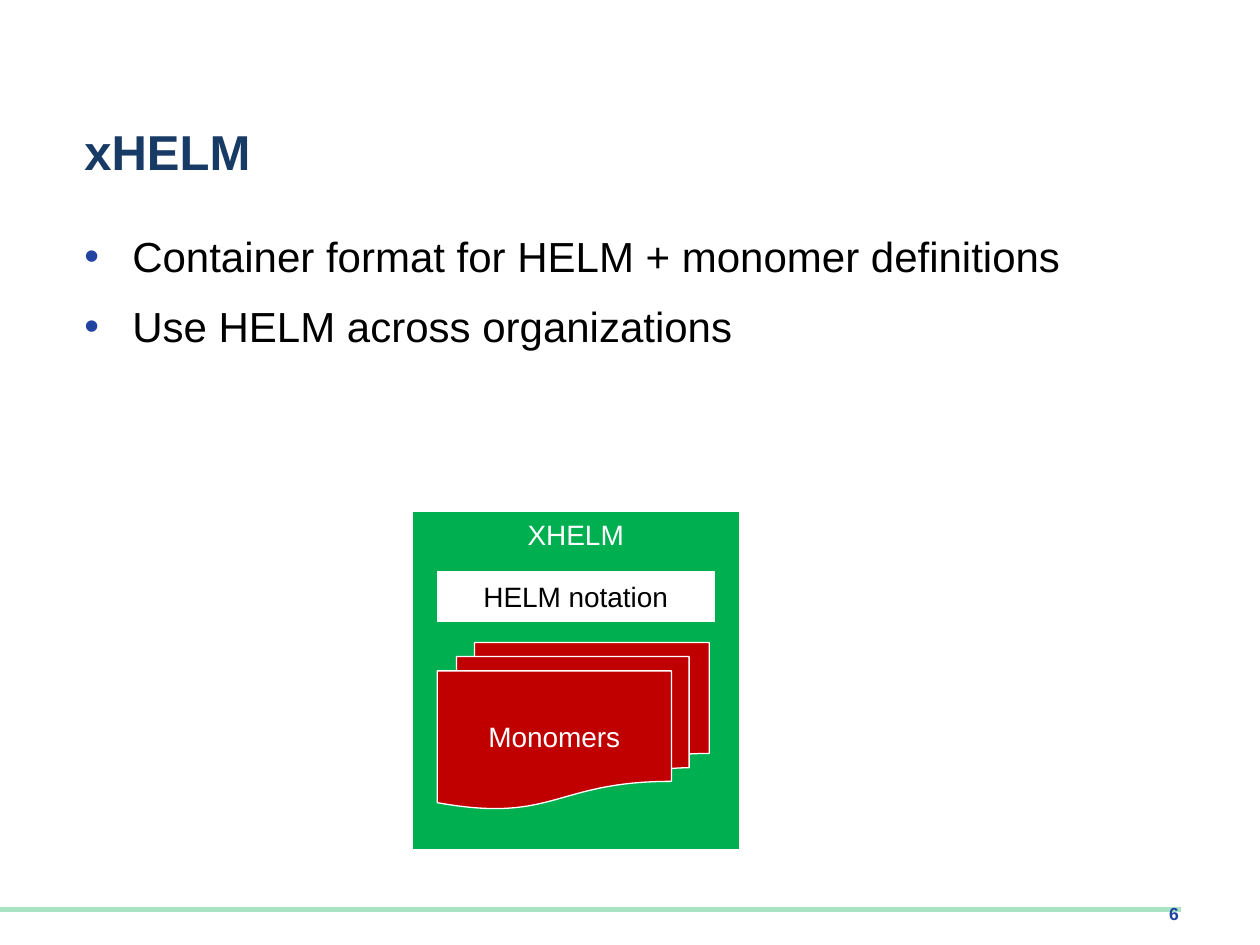
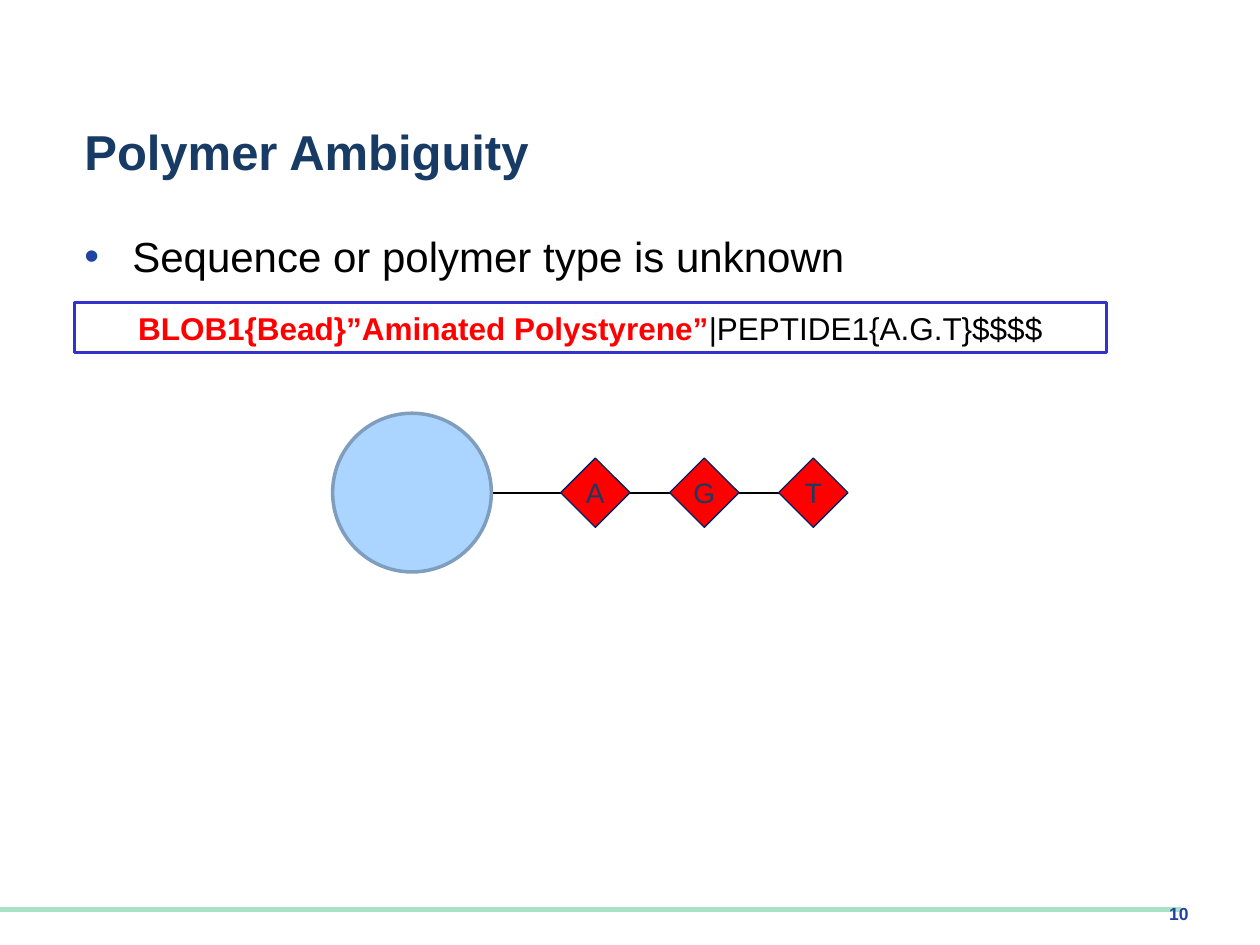
import pptx
import pptx.util
import pptx.dml.color
import pptx.enum.shapes
import pptx.enum.text
import lxml.etree
from pptx.oxml.ns import qn

Inches = pptx.util.Inches
Pt = pptx.util.Pt
Kind = pptx.enum.shapes.MSO_SHAPE
Align = pptx.enum.text.PP_ALIGN
Anchor = pptx.enum.text.MSO_ANCHOR

# Shared look
FONT = "Arial"
NAVY, BLUE, MINT = "173B64", "2143A1", "A9E3C6"
WHITE, BLACK, RED = "FFFFFF", "000000", "FF0000"


def rgb(code):
    return pptx.dml.color.RGBColor.from_string(code)


def write(shape, text, size=16, color=BLACK, bold=False, align=Align.LEFT,
          anchor=Anchor.TOP, wrap=True, inset=None, mark=None):
    """Write text as one paragraph per line; mark is the bullet colour."""
    frame = shape.text_frame
    frame.auto_size = pptx.enum.text.MSO_AUTO_SIZE.NONE
    frame.word_wrap = wrap
    frame.vertical_anchor = anchor
    if inset is not None:
        frame.margin_left = frame.margin_right = frame.margin_bottom = 0
        frame.margin_top = Inches(inset)
    frame.text = text
    for i, para in enumerate(frame.paragraphs):
        para.alignment = align
        para.space_before = Pt(0)
        if mark:
            para.line_spacing = 1.1
            para.space_before = Pt(8.5 if i else 0)
            props = para._p.get_or_add_pPr()
            props.set("marL", str(Inches(0.38)))
            props.set("indent", str(-Inches(0.38)))
            tint = lxml.etree.SubElement(props, qn("a:buClr"))
            lxml.etree.SubElement(tint, qn("a:srgbClr"), val=mark)
            lxml.etree.SubElement(props, qn("a:buFont"), typeface=FONT)
            lxml.etree.SubElement(props, qn("a:buChar"), char="•")
        for run in para.runs:
            run.font.name = FONT
            run.font.size = Pt(size)
            run.font.bold = bold
            run.font.color.rgb = rgb(color)


# Polymer chain: bead, then evenly spaced diamonds joined at mid height
side, first, pitch = 0.55, 4.45, 1.73 / 2
mid, bead = 3.91, 1.26
lefts = [first + pitch * i for i in range(3)]
chain = [(Kind.OVAL, (2.64, mid - bead / 2, bead, bead),
          "ABD5FF", "7F9EBD", 2, None)]
chain += [(Kind.DIAMOND, (x, mid - side / 2, side, side), RED, "002060", 0.75,
           dict(text=base, color=NAVY, anchor=Anchor.MIDDLE, wrap=False))
          for x, base in zip(lefts, "AGT")]
ends = [2.64 + bead] + [x + side for x in lefts]
bonds = list(zip(ends, lefts))

# Slide contents: shapes are kind, place, fill, line, width, text
pages = [
    dict(no="6", title="xHELM", body=(8.62, 4.27), links=[],
         points="Container format for HELM + monomer definitions\n"
                "Use HELM across organizations",
         shapes=[
             (Kind.RECTANGLE, (3.27, 4.06, 2.6, 2.68), "00B050", WHITE, 0.75,
              dict(text="XHELM", color=WHITE, wrap=False)),
             (Kind.RECTANGLE, (3.47, 4.54, 2.2, 0.39), WHITE, WHITE, 0.75,
              dict(text="HELM notation", anchor=Anchor.MIDDLE, wrap=False)),
             (Kind.FLOWCHART_MULTIDOCUMENT, (3.47, 5.1, 2.16, 1.32),
              "C00000", WHITE, 0.75,
              dict(text="Monomers", color=WHITE, anchor=Anchor.MIDDLE,
                   wrap=False)),
         ]),
    dict(no="10", title="Polymer Ambiguity", body=(7.09, 0.66), links=bonds,
         points="Sequence or polymer type is unknown",
         shapes=[
             (Kind.RECTANGLE, (0.59, 2.4, 8.19, 0.4), WHITE, "3333CC", 2,
              dict(text="BLOB1{Bead}”Aminated Polystyrene”", size=18,
                   color=RED, bold=True)),
         ] + chain),
]

deck = pptx.Presentation()
deck.slide_width, deck.slide_height = Inches(10), Inches(7.5)

for page in pages:
    slide = deck.slides.add_slide(deck.slide_layouts[1])
    title, body = slide.placeholders

    # Title and list
    title.left, title.top = Inches(0.67), Inches(0.92)
    title.width, title.height = Inches(9.22), Inches(0.65)
    write(title, page["title"], size=28, color=NAVY, bold=True, inset=0.04)
    body.left, body.top = Inches(0.67), Inches(1.75)
    body.width, body.height = map(Inches, page["body"])
    write(body, page["points"], size=24, inset=0.04, mark=BLUE)

    # Footer rule and chain bonds
    rules = [(0, 9.37, 7.22, MINT, 3)]
    rules += [(x1, x2, mid, BLACK, 1) for x1, x2 in page["links"]]
    for x1, x2, y, color, width in rules:
        rule = slide.shapes.add_connector(
            pptx.enum.shapes.MSO_CONNECTOR.STRAIGHT,
            Inches(x1), Inches(y), Inches(x2), Inches(y))
        rule.line.color.rgb = rgb(color)
        rule.line.width = Pt(width)
        lxml.etree.SubElement(rule._element.spPr, qn("a:effectLst"))

    # Page number
    num = slide.shapes.add_textbox(
        Inches(9.28), Inches(7.11), Inches(0.83), Inches(0.22))
    write(num, page["no"], size=10, color=BLUE, bold=True,
          anchor=Anchor.BOTTOM, inset=0)

    # Diagram
    for kind, place, fill, line, width, label in page["shapes"]:
        shape = slide.shapes.add_shape(kind, *map(Inches, place))
        shape.shadow.inherit = False
        shape.fill.solid()
        shape.fill.fore_color.rgb = rgb(fill)
        shape.line.color.rgb = rgb(line)
        shape.line.width = Pt(width)
        if label:
            write(shape, align=Align.CENTER, **label)
        if kind == Kind.RECTANGLE and page["links"]:
            # Plain tail of the notation after the bold part
            tail = shape.text_frame.paragraphs[0].add_run()
            tail.text = "|PEPTIDE1{A.G.T}$$$$"
            tail.font.name, tail.font.size = FONT, Pt(18)
            tail.font.color.rgb = rgb(BLACK)

deck.save("out.pptx")
